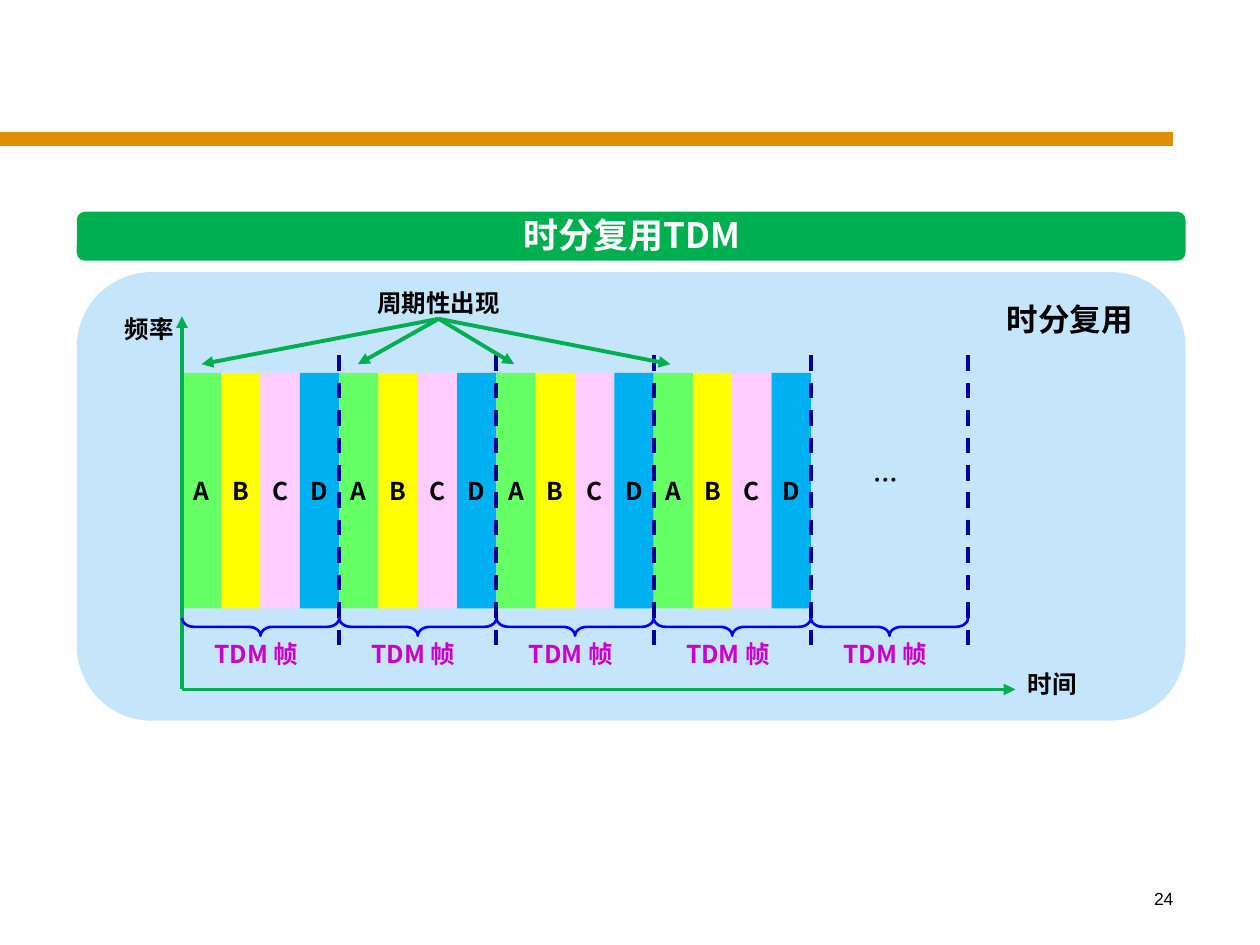
"""Build a slide that explains time division multiplexing."""
from dataclasses import dataclass

from lxml.etree import SubElement
from pptx import Presentation
from pptx.dml.color import RGBColor
from pptx.enum.dml import MSO_LINE
from pptx.enum.shapes import MSO_CONNECTOR, MSO_SHAPE
from pptx.enum.text import MSO_ANCHOR, MSO_AUTO_SIZE, PP_ALIGN
from pptx.oxml.ns import qn
from pptx.util import Pt


@dataclass
class Theme:
    font: str = "Noto Sans CJK SC"
    plain: str = "Arial"
    ink: str = "000000"
    white: str = "FFFFFF"
    rule: str = "DF8E05"
    panel: str = "C5E5FB"
    green: str = "00B050"
    frame: str = "CC00CC"
    brace: str = "0000FF"
    dash: str = "000099"
    slots: tuple = ("66FF66", "FFFF00", "FFCCFF", "00B0F0")
    head: int = 20
    large: int = 18
    text: int = 14
    small: int = 10


theme = Theme()


def write(shape, text, size=theme.text, color=theme.ink, align=PP_ALIGN.LEFT,
          anchor=MSO_ANCHOR.TOP, space=1.0, font=theme.font, bold=True):
    frame = shape.text_frame
    frame.text = text
    frame.word_wrap = False
    frame.auto_size = MSO_AUTO_SIZE.NONE
    frame.vertical_anchor = anchor
    line = frame.paragraphs[0]
    line.alignment = align
    line.line_spacing = space
    run = line.runs[0]
    run.font.size = Pt(size)
    run.font.bold = bold
    run.font.name = font
    run.font.color.rgb = RGBColor.from_string(color)
    SubElement(run.font._element, qn("a:ea"), typeface=font)


def link(start, end, color, width=2.25, arrow=False):
    line = shapes.add_connector(
        MSO_CONNECTOR.STRAIGHT, *[Pt(n) for n in start + end])
    line.line.color.rgb = RGBColor.from_string(color)
    line.line.width = Pt(width)
    if arrow:
        SubElement(line.line._get_or_add_ln(), qn("a:tailEnd"), type="triangle")
    SubElement(line._element.spPr, qn("a:effectLst"))
    return line


deck = Presentation()
deck.slide_width, deck.slide_height = Pt(720), Pt(540)
slide = deck.slides.add_slide(deck.slide_layouts[5])
shapes = slide.shapes

link((0, 79.2), (670.3, 79.2), theme.rule, 8)
page = shapes.add_textbox(Pt(527.8), Pt(504), Pt(149.8), Pt(36))
write(page, "24", theme.small, align=PP_ALIGN.RIGHT, font=theme.plain, bold=False)

for top, height, color in ((155.5, 256.3, theme.panel), (121, 28, theme.green)):
    box = shapes.add_shape(
        MSO_SHAPE.ROUNDED_RECTANGLE, Pt(43.9), Pt(top), Pt(633.6), Pt(height))
    box.shadow.inherit = False
    box.fill.solid()
    box.fill.fore_color.rgb = RGBColor.from_string(color)
    box.line.fill.background()

title = shapes.title
title.left, title.top, title.width, title.height = Pt(289.4), Pt(118), Pt(143.3), Pt(31.7)
write(title, "时分复用TDM", theme.head, theme.white, PP_ALIGN.CENTER, MSO_ANCHOR.MIDDLE)
box._element.addnext(title._element)

left, top, height = 104, 213.1, 134.6
slot, count = 22.46, 5
frame = slot * len(theme.slots)
base = 394

link((left, base), (580.3, base), theme.green, arrow=True)
for part in range(count - 1):
    for step, (name, color) in enumerate(zip("ABCD", theme.slots)):
        cell = shapes.add_shape(
            MSO_SHAPE.RECTANGLE, Pt(left + part * frame + step * slot),
            Pt(top), Pt(slot), Pt(height))
        cell.shadow.inherit = False
        cell.fill.solid()
        cell.fill.fore_color.rgb = RGBColor.from_string(color)
        cell.line.fill.background()
        write(cell, name, align=PP_ALIGN.CENTER, anchor=MSO_ANCHOR.MIDDLE)
link((left, base), (left, 180.7), theme.green, arrow=True)

for part in range(count):
    mid = left + (part + 0.5) * frame
    label = shapes.add_textbox(Pt(mid - 33.5), Pt(363.6), Pt(67), Pt(22.3))
    write(label, "TDM 帧", color=theme.frame, space=0.9)
    brace = shapes.add_shape(
        MSO_SHAPE.LEFT_BRACE, Pt(mid - 5.1), Pt(358.2 - frame / 2), Pt(10.2), Pt(frame))
    brace.rotation = 270
    brace.adjustments[0] = 0.67
    brace.shadow.inherit = False
    brace.fill.background()
    brace.line.color.rgb = RGBColor.from_string(theme.brace)
    brace.line.width = Pt(1.5)

for part in range(1, count + 1):
    edge = left + part * frame
    mark = link((edge, 203), (edge, 373.7), theme.dash)
    mark.line.dash_style = MSO_LINE.DASH

for text, x, y, width, depth, size, space in (
        ("频率", 64.1, 177.8, 42.5, 22.3, theme.text, 0.9),
        ("时间", 580.3, 380.9, 42.5, 22.3, theme.text, 0.9),
        ("…", 491.8, 262.1, 27.4, 23.8, theme.text, 1.0),
        ("时分复用", 568.1, 167.8, 86.4, 28.8, theme.large, 1.0),
        ("周期性出现", 208.6, 162.7, 84.2, 19.5, theme.text, 0.9)):
    label = shapes.add_textbox(Pt(x), Pt(y), Pt(width), Pt(depth))
    write(label, text, size, space=space)

for part in range(count - 1):
    arrow = link((250, 182), (115.2 + part * 89.3, 208.1), theme.green, arrow=True)
    arrow.begin_connect(label, 2)

deck.save("out.pptx")
